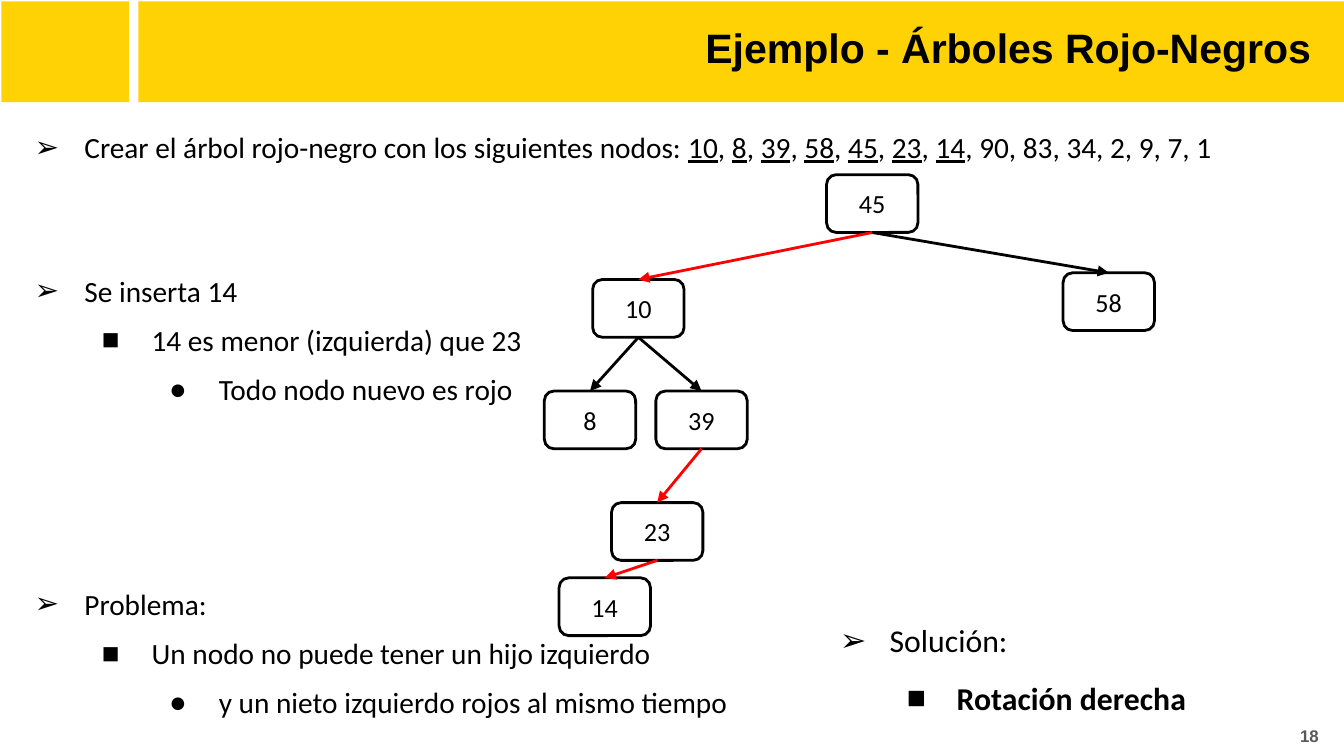
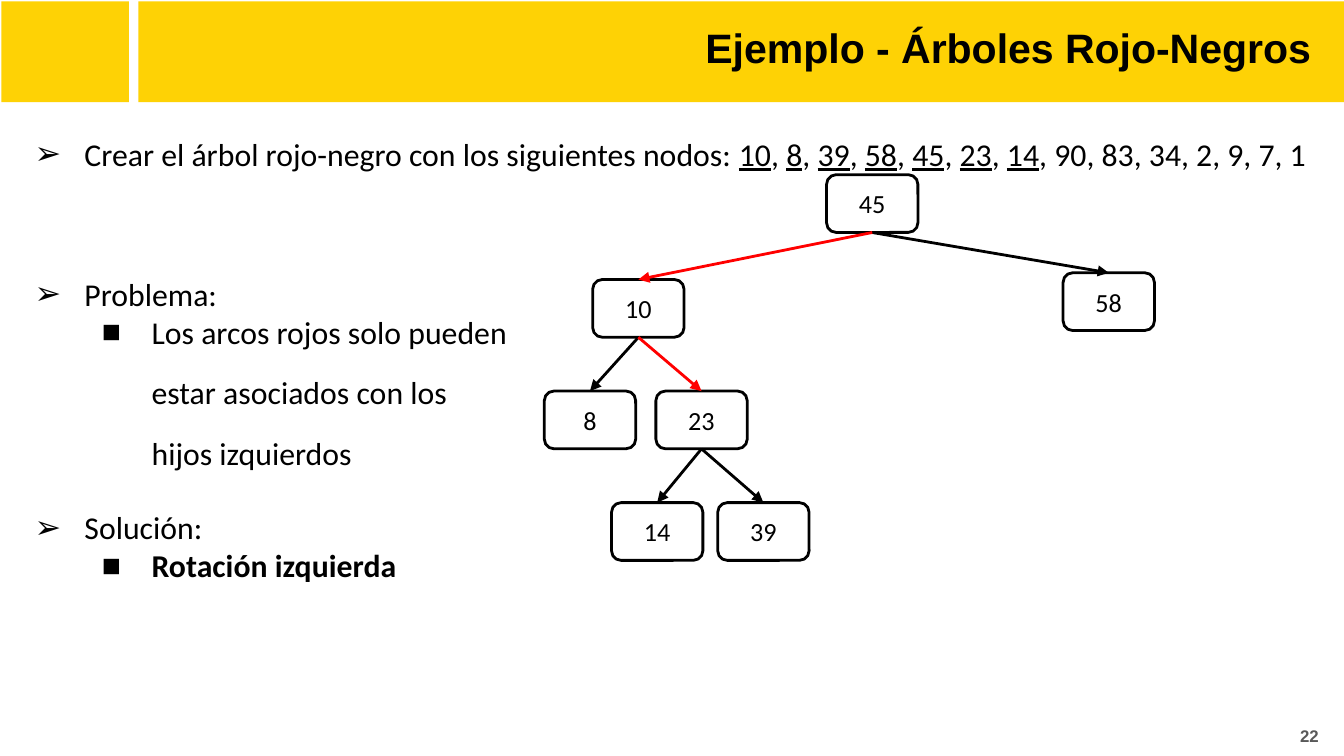
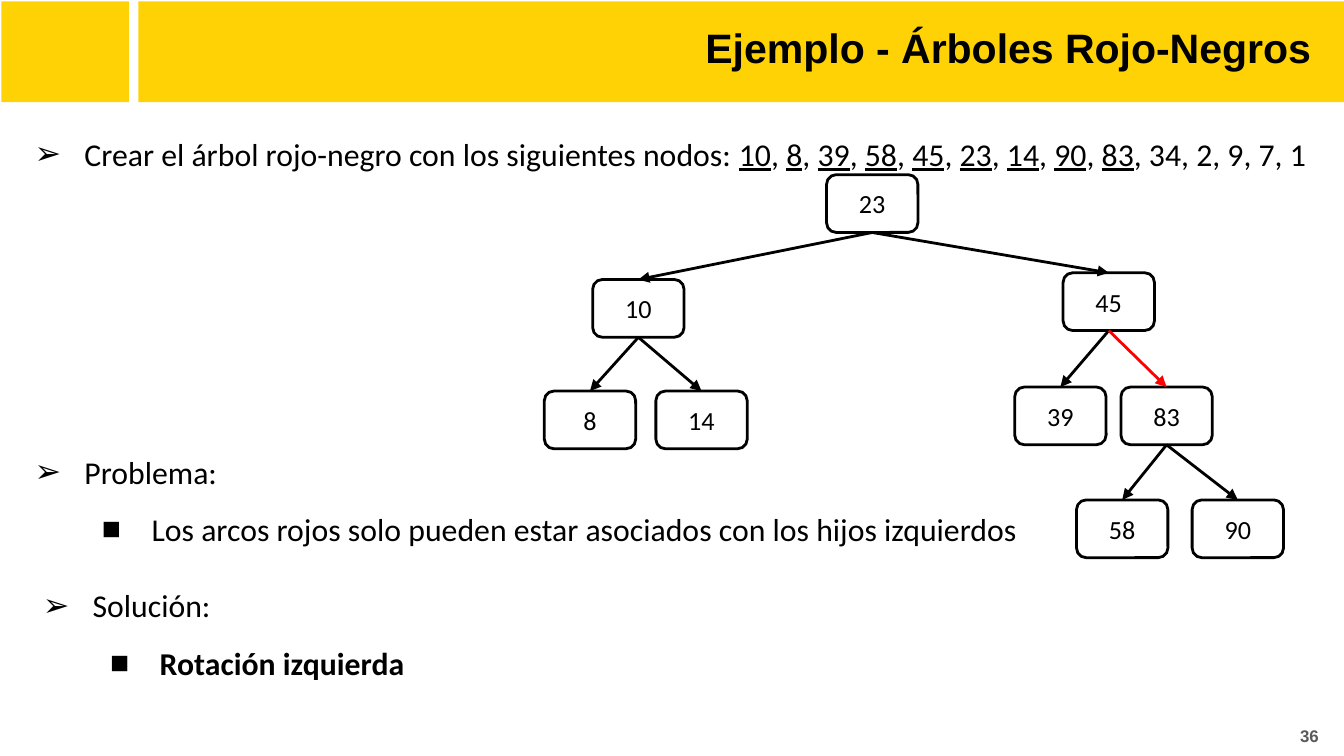
from lxml import etree
from pptx import Presentation
from pptx.dml.color import RGBColor as Color
from pptx.enum.shapes import MSO_CONNECTOR as Connector, MSO_SHAPE as Shape
from pptx.enum.text import MSO_ANCHOR as Anchor, PP_ALIGN as Align
from pptx.oxml.ns import qn
from pptx.util import Inches, Pt

PAGE_WIDTH = 10
PAGE_HEIGHT = PAGE_WIDTH * 9 / 16
COLORS = {"band": "FED205", "black": "000000", "red": "FF0000",
          "white": "FFFFFF", "number": "595959"}
BULLETS = ["➢", "■", "●"]
BANDS = [(1.03, 8.97), (0.01, 0.95)]
TITLE = "Ejemplo - Árboles Rojo-Negros "
INTRO = "Crear el árbol rojo-negro con los siguientes nodos: "
KEYS = [10, 8, 39, 58, 45, 23, 14, 90, 83, 34, 2, 9, 7, 1]
PARAGRAPH_GAP = 12
NODE_WIDTH, NODE_HEIGHT = 0.68, 0.43

# Left and top of each tree position; L and R spell the way down from the root
POSITIONS = {
    "": (6.15, 1.3), "L": (4.41, 2.08), "R": (7.91, 2.03),
    "LL": (4.05, 2.91), "LR": (4.88, 2.91),
    "LRL": (4.55, 3.74), "LRR": (5.34, 3.74), "LRLL": (4.16, 4.3),
    "RL": (7.55, 2.88), "RR": (8.34, 2.88),
    "RRL": (8.01, 3.72), "RRR": (8.87, 3.72),
}

# Lines are (text, level, bulleted, gaps before, blank lines skipped, gaps after)
PAGES = [
    {
        "number": 18, "inserted": 7, "size": 15.7, "intro_spacing": 1.4, "spacing": 1.4,
        "lines": [
            ("Se inserta 14", 0, True, 1, 1, 0),
            ("14 es menor (izquierda) que 23", 1, True, 0, 0, 0),
            ("Todo nodo nuevo es rojo", 2, True, 0, 0, 0),
            ("Problema:", 0, True, 1, 2, 0),
            ("Un nodo no puede tener un hijo izquierdo", 1, True, 0, 0, 0),
            ("y un nieto izquierdo rojos al mismo tiempo", 2, True, 0, 0, 0),
        ],
        "solution": "Rotación derecha", "solution_box": (6.02, 4.38, 3.41, 0.92),
        "solution_spacing": 1.5,
        "tree": {"": 45, "L": 10, "R": 58, "LL": 8, "LR": 39, "LRL": 23, "LRLL": 14},
        "red": ["L", "LRL", "LRLL"],
    },
    {
        "number": 22, "inserted": 7, "size": 17, "intro_spacing": 1.5, "spacing": 1.0,
        "lines": [
            ("Problema:", 0, True, 1, 1, 0),
            ("Los arcos rojos solo pueden", 1, True, 0, 0, 0),
            ("estar asociados con los", 1, False, 1, 0, 0),
            ("hijos izquierdos", 1, False, 1, 0, 1),
        ],
        "solution": "Rotación izquierda", "solution_box": (0.03, 3.68, 3.82, 0.77),
        "solution_spacing": 1.0,
        "tree": {"": 45, "L": 10, "R": 58, "LL": 8, "LR": 23, "LRL": 14, "LRR": 39},
        "red": ["L", "LR"],
    },
    {
        "number": 36, "inserted": 9, "size": 17, "intro_spacing": 1.5, "spacing": 1.5,
        "lines": [
            ("Problema:", 0, True, 1, 3, 0),
            ("Los arcos rojos solo pueden estar asociados con los hijos izquierdos",
             1, True, 0, 0, 0),
        ],
        "solution": "Rotación izquierda", "solution_box": (0.09, 4.12, 3.28, 0.92),
        "solution_spacing": 1.5,
        "tree": {"": 23, "L": 10, "R": 45, "LL": 8, "LR": 14, "RL": 39, "RR": 83,
                 "RRL": 58, "RRR": 90},
        "red": ["RR"],
    },
]


def prepare_frame(box, anchor=Anchor.TOP, bottom=0.1):
    frame = box.text_frame
    frame.word_wrap = True
    frame.vertical_anchor = anchor
    frame.margin_left = frame.margin_right = frame.margin_top = Inches(0.1)
    frame.margin_bottom = Inches(bottom)
    return frame


def write(frame, spans, size, font="Calibri", color="black", align=Align.LEFT,
          level=None, bulleted=True, spacing=1.0, before=0, after=0):
    """Add a paragraph of (text, style) spans; style is "u", "b" or empty."""
    para = frame.paragraphs[0]
    if para.runs:
        para = frame.add_paragraph()
    para.alignment = align
    para.line_spacing = spacing
    para.space_before, para.space_after = Pt(before), Pt(after)
    for text, style in spans:
        span = para.add_run()
        span.text = text
        span.font.size, span.font.name = Pt(size), font
        span.font.color.rgb = Color.from_string(COLORS[color])
        span.font.bold = style == "b"
        span.font.underline = style == "u"
    if level is not None:
        para.level = level
        props = para._p.get_or_add_pPr()
        props.set("marL", str(Inches(0.5 * (level + 1))))
        props.set("indent", str(Inches(-0.37 if bulleted else 0)))
        if bulleted:
            tint = etree.SubElement(props, qn("a:buClr"))
            etree.SubElement(tint, qn("a:srgbClr"), val=COLORS["black"])
            etree.SubElement(props, qn("a:buFont"), typeface="Arial")
            etree.SubElement(props, qn("a:buChar"), char=BULLETS[level])


deck = Presentation()
deck.slide_width, deck.slide_height = Inches(PAGE_WIDTH), Inches(PAGE_HEIGHT)

for content in PAGES:
    page = deck.slides.add_slide(deck.slide_layouts[6])
    shapes = page.shapes
    size = content["size"]

    for left, width in BANDS:
        band = shapes.add_shape(Shape.RECTANGLE, Inches(left), Inches(0.01),
                                Inches(width), Inches(0.75))
        band.shadow.inherit = False
        band.fill.solid()
        band.fill.fore_color.rgb = Color.from_string(COLORS["band"])
        band.line.fill.background()

    body = prepare_frame(shapes.add_textbox(
        Inches(0.03), Inches(0.76), Inches(9.97), Inches(4.86)), bottom=0.02)
    intro = [(INTRO, "")]
    for key in KEYS[:content["inserted"]]:
        intro += [(str(key), "u"), (", ", "")]
    intro[-1] = (", " + ", ".join(map(str, KEYS[content["inserted"]:])), "")
    write(body, intro, size, level=0, spacing=content["intro_spacing"])

    blank_line = size * 1.2 * content["intro_spacing"] + PARAGRAPH_GAP
    for text, level, bulleted, gaps, skipped, gaps_after in content["lines"]:
        write(body, [(text, "")], size, level=level, bulleted=bulleted,
              spacing=content["spacing"],
              before=round(gaps * PARAGRAPH_GAP + skipped * blank_line, 1),
              after=gaps_after * PARAGRAPH_GAP)

    title = prepare_frame(shapes.add_textbox(
        Inches(1.08), Inches(0.07), Inches(8.86), Inches(0.63)))
    write(title, [(TITLE, "b")], 22, font="Arial", align=Align.RIGHT)

    number = prepare_frame(shapes.add_textbox(
        Inches(9.47), Inches(5.26), Inches(0.44), Inches(0.43)), Anchor.MIDDLE)
    write(number, [(str(content["number"]), "b")], 9, font="Arial",
          color="number", align=Align.RIGHT)

    nodes = {}
    for way, key in content["tree"].items():
        left, top = POSITIONS[way]
        node = shapes.add_shape(Shape.ROUNDED_RECTANGLE, Inches(left), Inches(top),
                                Inches(NODE_WIDTH), Inches(NODE_HEIGHT))
        node.shadow.inherit = False
        node.fill.solid()
        node.fill.fore_color.rgb = Color.from_string(COLORS["white"])
        node.line.color.rgb = Color.from_string(COLORS["black"])
        node.line.width = Pt(1.5)
        write(prepare_frame(node, Anchor.MIDDLE), [(str(key), "")], 14, align=Align.CENTER)
        nodes[way] = node

    # Red links last, so that they lie over the black ones at a shared parent
    for way in sorted(filter(None, nodes), key=lambda way: way in content["red"]):
        link = shapes.add_connector(Connector.STRAIGHT, 0, 0, 0, 0)
        link.begin_connect(nodes[way[:-1]], 2)
        link.end_connect(nodes[way], 0)
        color = "red" if way in content["red"] else "black"
        link.line.color.rgb = Color.from_string(COLORS[color])
        link.line.width = Pt(1.5)
        etree.SubElement(link.line._get_or_add_ln(), qn("a:tailEnd"), type="triangle")
        etree.SubElement(link._element.spPr, qn("a:effectLst"))

    solution = prepare_frame(shapes.add_textbox(*map(Inches, content["solution_box"])))
    for level, span in enumerate([("Solución:", ""), (content["solution"], "b")]):
        write(solution, [span], 17, level=level, spacing=content["solution_spacing"])

deck.save("out.pptx")
